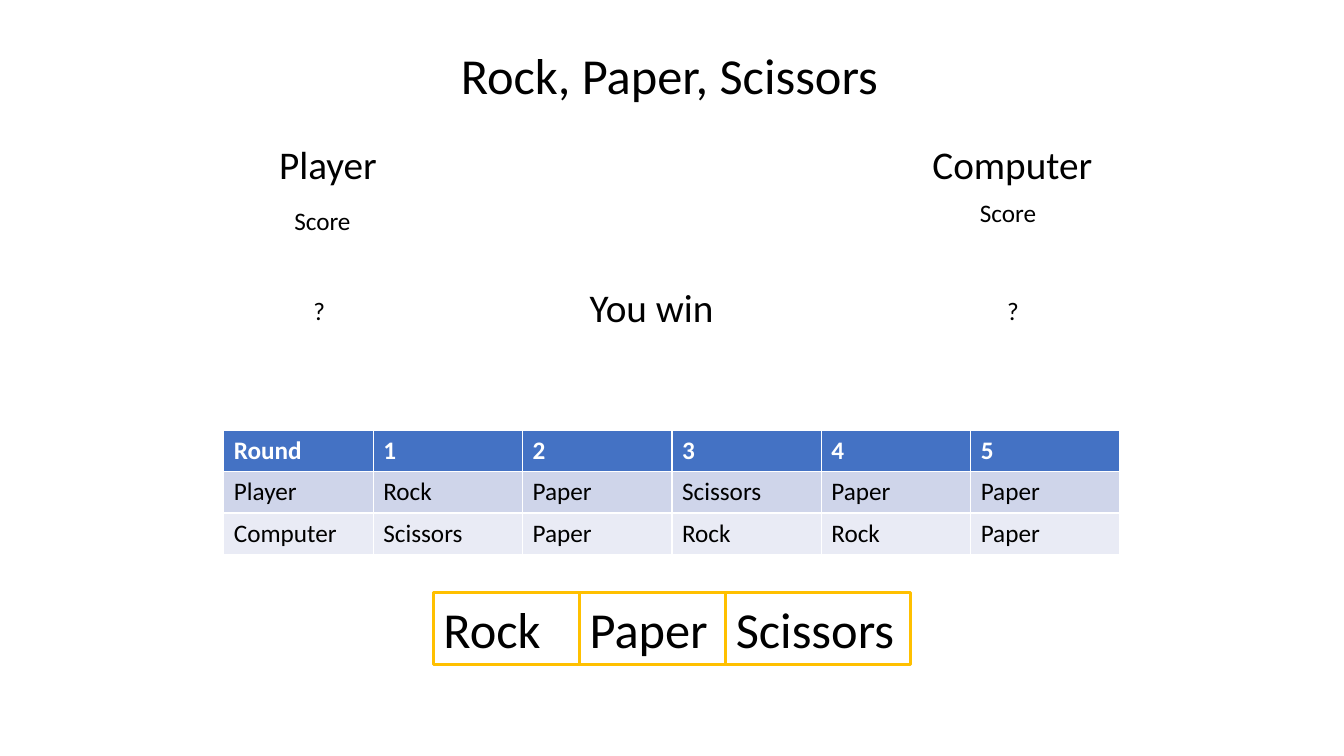
from pptx import Presentation
from pptx.dml.color import RGBColor
from pptx.enum.shapes import MSO_SHAPE as Shape
from pptx.enum.text import MSO_ANCHOR as Anchor, MSO_AUTO_SIZE as AutoSize, PP_ALIGN as Align
from pptx.util import Inches, Pt

WIDTH, HEIGHT = 13.33, 7.5
FONT, BLACK, WHITE, GOLD = "Calibri", "000000", "FFFFFF", "FFC000"
LINE_HEIGHT = {18: 0.4, 28: 0.57, 36: 0.71}

TITLE = ("Rock, Paper, Scissors", 36, 4.47, 0.39, 4.39)
PLAYER_LEFT, COMPUTER_LEFT, NAME_TOP, GUESS_TOP = 2.67, 9.15, 1.34, 2.88
LABELS = [
    ("Player", 28, PLAYER_LEFT, NAME_TOP, 1.2),
    ("Computer", 28, COMPUTER_LEFT, NAME_TOP, 1.83),
    ("Score", 18, PLAYER_LEFT + 0.15, 1.99, 0.89),
    ("Score", 18, COMPUTER_LEFT + 0.47, 1.91, 0.89),
    ("?", 18, PLAYER_LEFT + 0.34, GUESS_TOP, 0.36),
    ("?", 18, COMPUTER_LEFT + 0.74, GUESS_TOP, 0.36),
    ("You win", 28, 5.75, 2.76, 1.83),
]
CHOICES = [("Rock", 1.45), ("Paper", 1.45), ("Scissors", 1.83)]
CHOICES_LEFT, CHOICES_TOP = 4.3, 5.88

ROUNDS = [
    ("Round", "1", "2", "3", "4", "5"),
    ("Player", "Rock", "Paper", "Scissors", "Paper", "Paper"),
    ("Computer", "Scissors", "Paper", "Rock", "Rock", "Paper"),
]
ROW_FILLS = ["4472C4", "CFD5EA", "E9EBF5"]
TABLE_WIDTH, TABLE_TOP, ROW_HEIGHT = 8.89, 4.27, 0.41


def paint(target, color):
    target.solid()
    target.fore_color.rgb = RGBColor.from_string(color)


def write(frame, text, size, color=BLACK, bold=False):
    frame.text = text
    para = frame.paragraphs[0]
    para.alignment = Align.LEFT
    font = para.runs[0].font
    font.name, font.size, font.bold = FONT, Pt(size), bold
    paint(font.fill, color)


def fill_box(box, text, size):
    frame = box.text_frame
    frame.word_wrap = True
    frame.auto_size = AutoSize.NONE
    frame.vertical_anchor = Anchor.TOP
    write(frame, text, size)


def area(size, left, top, width):
    return [Inches(value) for value in (left, top, width, LINE_HEIGHT[size])]


def add_title(slide):
    text, size, *place = TITLE
    title = slide.shapes.title
    title.left, title.top, title.width, title.height = area(size, *place)
    fill_box(title, text, size)


def add_labels(slide):
    for text, size, *place in LABELS:
        fill_box(slide.shapes.add_textbox(*area(size, *place)), text, size)


def add_choices(slide):
    left = CHOICES_LEFT
    for text, width in CHOICES:
        box = slide.shapes.add_shape(Shape.RECTANGLE, *area(36, left, CHOICES_TOP, width))
        box.shadow.inherit = False
        box.fill.background()
        paint(box.line.fill, GOLD)
        box.line.width = Pt(2.25)
        fill_box(box, text, 36)
        left += width


def add_rounds(slide):
    left = (WIDTH - TABLE_WIDTH) / 2
    height = ROW_HEIGHT * len(ROUNDS)
    place = [Inches(value) for value in (left, TABLE_TOP, TABLE_WIDTH, height)]
    table = slide.shapes.add_table(len(ROUNDS), len(ROUNDS[0]), *place).table
    for row, (texts, fill) in enumerate(zip(ROUNDS, ROW_FILLS)):
        header = row == 0
        for column, text in enumerate(texts):
            cell = table.cell(row, column)
            paint(cell.fill, fill)
            write(cell.text_frame, text, 18, WHITE if header else BLACK, header)


def main():
    deck = Presentation()
    deck.slide_width, deck.slide_height = Inches(WIDTH), Inches(HEIGHT)
    slide = deck.slides.add_slide(deck.slide_layouts[5])
    add_title(slide)
    add_labels(slide)
    add_choices(slide)
    add_rounds(slide)
    deck.save("out.pptx")


if __name__ == "__main__":
    main()
